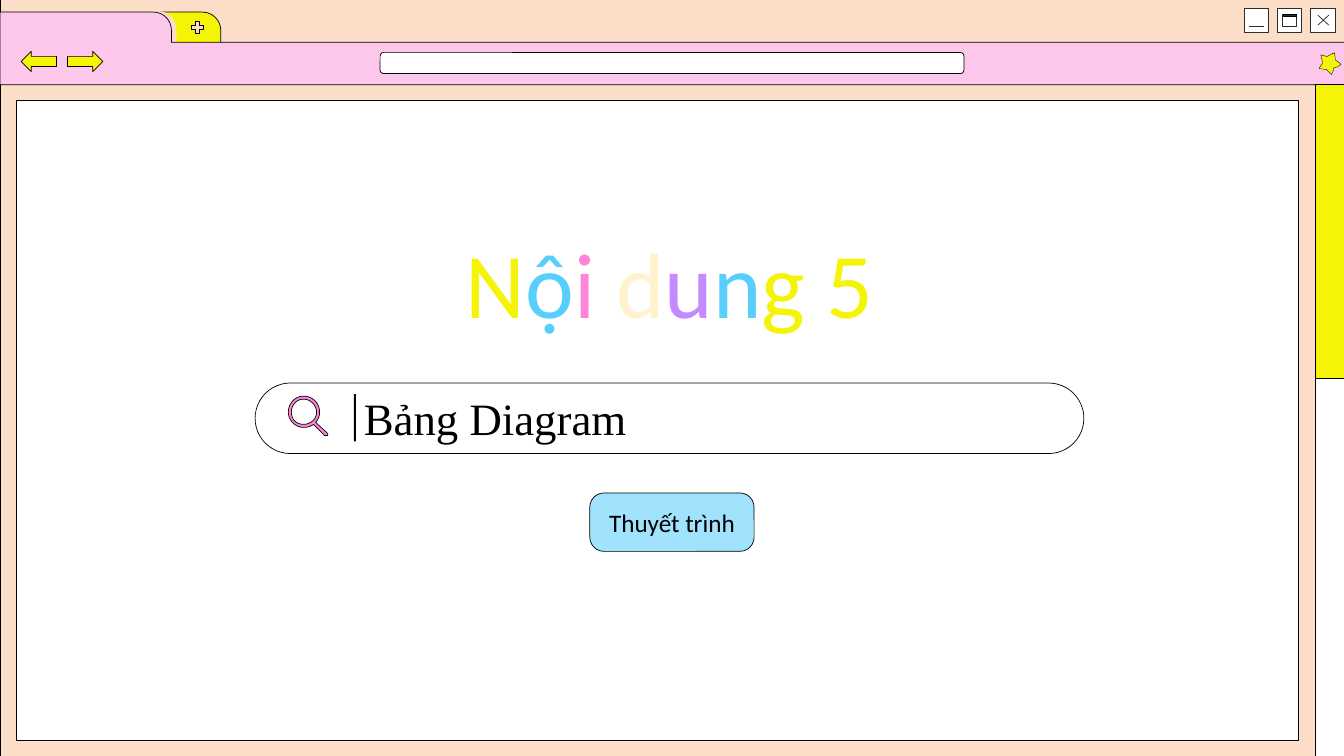
from dataclasses import dataclass

from lxml import etree
from pptx import Presentation
from pptx.dml.color import RGBColor
from pptx.enum.shapes import MSO_CONNECTOR, MSO_SHAPE
from pptx.enum.text import MSO_ANCHOR, MSO_AUTO_SIZE, PP_ALIGN
from pptx.oxml.ns import qn
from pptx.util import Inches, Pt

RECT = MSO_SHAPE.RECTANGLE
ROUND = MSO_SHAPE.ROUNDED_RECTANGLE
TAB = MSO_SHAPE.ROUND_1_RECTANGLE
PLUS = MSO_SHAPE.MATH_PLUS
LEFT_ARROW = MSO_SHAPE.LEFT_ARROW
RIGHT_ARROW = MSO_SHAPE.RIGHT_ARROW
STRAIGHT = MSO_CONNECTOR.STRAIGHT
TOP, MIDDLE = MSO_ANCHOR.TOP, MSO_ANCHOR.MIDDLE
LEFT, CENTER = PP_ALIGN.LEFT, PP_ALIGN.CENTER
GROW, FIXED = MSO_AUTO_SIZE.SHAPE_TO_FIT_TEXT, MSO_AUTO_SIZE.NONE

BLACK, WHITE, INK = "000000", "FFFFFF", "292D2D"
PEACH, PINK, ROSE = "FCDEC8", "FDC7EB", "FD86D8"
YELLOW, SKY, PALE_SKY = "F5F406", "58CEFC", "A1E3FD"
CREAM, VIOLET = "FFF2CC", "C48AFF"
CURVE_STEPS = 12


@dataclass
class Panel:
    kind: int
    left: float
    top: float
    width: float
    height: float
    fill: str | None = None
    line: str | None = BLACK
    adjust: float | None = None


@dataclass
class Outline:
    contours: list[list[tuple]]
    fill: str
    weight: float = 0.5
    rotation: float = 0


@dataclass
class Span:
    text: str
    color: str


WINDOW = [
    Panel(RECT, 0, -0.01, 13.33, 7.51, PEACH),
    Panel(RECT, 13.05, 2.26, 0.28, 5.24, WHITE),
    Panel(RECT, 0.16, 1, 12.72, 6.35, WHITE),
]
BUTTON_SIZE = 0.24
MINIMIZE, MAXIMIZE, CLOSE = [12.34 + 0.33 * step for step in range(3)]
CONTROLS = [Panel(RECT, left, 0.08, BUTTON_SIZE, BUTTON_SIZE, WHITE, INK)
            for left in (MINIMIZE, MAXIMIZE, CLOSE)] + [
    Panel(RECT, MAXIMIZE + 0.05, 0.14, 0.14, 0.12, None, INK),
    Panel(RECT, MAXIMIZE + 0.06, 0.14, 0.13, 0.02, INK),
]
CONTROL_STROKES = [
    (MINIMIZE + 0.05, 0.26, MINIMIZE + 0.2, 0.26),
    (CLOSE + 0.07, 0.15, CLOSE + 0.18, 0.25),
    (CLOSE + 0.18, 0.15, CLOSE + 0.07, 0.25),
]
TABS = [
    Panel(TAB, 0.49, 0.12, 1.7, 0.42, YELLOW, BLACK, 0.43),
    Panel(TAB, 0.05, 0.11, 1.7, 0.42, PEACH, None, 0.43),
]
TOOLBAR = Outline([[
    (0, 0.12), (1.52, 0.12), (1.62, 0.12, 1.7, 0.2, 1.7, 0.3),
    (1.7, 0.42), (13.35, 0.42), (13.35, 0.84), (0, 0.84),
]], PINK)
TOOLS = [
    Panel(PLUS, 1.88, 0.19, 0.16, 0.16, PEACH),
    Panel(LEFT_ARROW, 0.21, 0.51, 0.35, 0.2, YELLOW),
    Panel(RIGHT_ARROW, 0.67, 0.51, 0.35, 0.2, YELLOW),
    Panel(ROUND, 3.77, 0.52, 5.79, 0.21, WHITE),
]
STAR = Outline([[
    (13.28, 0.59), (13.22, 0.57), (13.21, 0.57), (13.18, 0.52),
    (13.18, 0.51, 13.17, 0.51, 13.17, 0.52), (13.14, 0.57),
    (13.14, 0.57, 13.13, 0.58, 13.13, 0.58), (13.08, 0.59),
    (13.07, 0.59, 13.07, 0.6, 13.07, 0.6), (13.11, 0.65), (13.11, 0.71),
    (13.11, 0.72, 13.11, 0.73, 13.12, 0.72), (13.15, 0.71),
    (13.18, 0.69, 13.17, 0.69, 13.2, 0.71), (13.23, 0.72),
    (13.24, 0.72, 13.25, 0.72, 13.25, 0.71), (13.24, 0.65),
    (13.24, 0.65, 13.24, 0.65, 13.25, 0.64), (13.28, 0.6),
    (13.29, 0.6, 13.28, 0.59, 13.28, 0.59),
]], YELLOW, 0.25, 314.4)
SCROLL_THUMB = Panel(RECT, 13.05, 0.84, 0.28, 2.91, YELLOW)
SCROLL_EDGE = (13.05, 1.16, 13.05, 7.5)
SEARCH_FIELD = Panel(ROUND, 2.53, 3.8, 8.22, 0.7, None, BLACK, 0.5)
BUTTON = Panel(ROUND, 5.85, 4.89, 1.63, 0.58, PALE_SKY, BLACK, 0.244)
CURSOR = Panel(RECT, 3.51, 3.91, 0.02, 0.47, BLACK, None)
MAGNIFIER = Outline([[
    (3.25, 4.3), (3.13, 4.19), (3.16, 4.16, 3.17, 4.12, 3.17, 4.09),
    (3.17, 4, 3.1, 3.93, 3.01, 3.93), (2.93, 3.93, 2.86, 4, 2.86, 4.09),
    (2.86, 4.17, 2.93, 4.24, 3.01, 4.24), (3.05, 4.24, 3.08, 4.23, 3.11, 4.21),
    (3.22, 4.32), (3.23, 4.32, 3.23, 4.32, 3.23, 4.32),
    (3.24, 4.32, 3.24, 4.32, 3.25, 4.32), (3.25, 4.31, 3.25, 4.3, 3.25, 4.3),
], [
    (3.01, 4.21), (2.94, 4.21, 2.89, 4.16, 2.89, 4.09),
    (2.89, 4.02, 2.94, 3.96, 3.01, 3.96), (3.08, 3.96, 3.14, 4.02, 3.14, 4.09),
    (3.14, 4.16, 3.08, 4.21, 3.01, 4.21),
]], ROSE)
TITLE = [Span("N", YELLOW), Span("ộ", SKY), Span("i ", ROSE), Span("d", CREAM),
         Span("u", VIOLET), Span("n", SKY), Span("g 5", YELLOW)]


def rgb(color: str) -> RGBColor:
    return RGBColor.from_string(color)


def paint(shape, fill: str | None, line: str | None, weight: float = 0.5) -> None:
    shape.shadow.inherit = False
    if fill:
        shape.fill.solid()
        shape.fill.fore_color.rgb = rgb(fill)
    else:
        shape.fill.background()
    if line:
        shape.line.color.rgb = rgb(line)
        shape.line.width = Pt(weight)
    else:
        shape.line.fill.background()


def add_panel(page, panel: Panel):
    shape = page.shapes.add_shape(panel.kind, Inches(panel.left), Inches(panel.top),
                                  Inches(panel.width), Inches(panel.height))
    if panel.adjust is not None:
        shape.adjustments[0] = panel.adjust
    paint(shape, panel.fill, panel.line)
    return shape


def add_stroke(page, ends: tuple, color: str) -> None:
    stroke = page.shapes.add_connector(STRAIGHT, *map(Inches, ends))
    stroke.line.color.rgb = rgb(color)
    stroke.line.width = Pt(0.5)
    etree.SubElement(stroke.element.spPr, qn("a:effectLst"))


def flatten(contour: list[tuple]) -> list[tuple]:
    points = [contour[0]]
    for segment in contour[1:]:
        if len(segment) == 2:
            points.append(segment)
            continue
        corners = [points[-1], segment[:2], segment[2:4], segment[4:]]
        for step in range(1, CURVE_STEPS + 1):
            t = step / CURVE_STEPS
            weights = ((1 - t) ** 3, 3 * t * (1 - t) ** 2, 3 * t * t * (1 - t), t ** 3)
            points.append(tuple(sum(w * corner[axis] for w, corner in zip(weights, corners))
                                for axis in range(2)))
    return [(Inches(x), Inches(y)) for x, y in points]


def add_outline(page, outline: Outline) -> None:
    first, *others = [flatten(contour) for contour in outline.contours]
    builder = page.shapes.build_freeform(*first[0])
    builder.add_line_segments(first[1:], close=True)
    for points in others:
        builder.move_to(*points[0])
        builder.add_line_segments(points[1:], close=True)
    shape = builder.convert_to_shape()
    shape.rotation = outline.rotation
    paint(shape, outline.fill, BLACK, outline.weight)


def write(box, spans: list[Span], size: float, font: str, align=CENTER,
          anchor=TOP, fit=GROW) -> None:
    frame = box.text_frame
    frame.word_wrap = True
    frame.auto_size = fit
    frame.vertical_anchor = anchor
    para = frame.paragraphs[0]
    para.alignment = align
    for span in spans:
        run = para.add_run()
        run.text = span.text
        run.font.size = Pt(size)
        run.font.name = font
        run.font.color.rgb = rgb(span.color)


def add_title(page) -> None:
    title = page.shapes.title
    title.element.getparent().append(title.element)
    title.left, title.top = Inches(3.74), Inches(2.19)
    title.width, title.height = Inches(5.8), Inches(1.21)
    write(title, TITLE, 66, "Calibri")
    for run in title.text_frame.paragraphs[0].runs:
        edge = etree.Element(qn("a:ln"), w=str(Pt(0.75)))
        fill = etree.SubElement(edge, qn("a:solidFill"))
        etree.SubElement(fill, qn("a:srgbClr"), val=BLACK)
        run.font.fill
        run.element.rPr.insert(0, edge) if hasattr(run, "element") else run._r.rPr.insert(0, edge)


def main() -> None:
    deck = Presentation()
    deck.slide_width, deck.slide_height = Inches(13.33), Inches(7.5)
    page = deck.slides.add_slide(deck.slide_layouts[5])
    for panel in WINDOW + CONTROLS:
        add_panel(page, panel)
    for ends in CONTROL_STROKES:
        add_stroke(page, ends, INK)
    for panel in TABS:
        add_panel(page, panel)
    add_outline(page, TOOLBAR)
    for panel in TOOLS:
        add_panel(page, panel)
    add_outline(page, STAR)
    add_panel(page, SCROLL_THUMB)
    add_stroke(page, SCROLL_EDGE, BLACK)
    add_panel(page, SEARCH_FIELD)
    add_title(page)
    write(add_panel(page, BUTTON), [Span("Thuyết trình", BLACK)], 18, "Calibri",
          anchor=MIDDLE, fit=FIXED)
    query = page.shapes.add_textbox(Inches(3.51), Inches(3.83), Inches(5.8), Inches(0.64))
    write(query, [Span("Bảng Diagram", BLACK)], 32, "Times New Roman", LEFT)
    add_panel(page, CURSOR)
    add_outline(page, MAGNIFIER)
    deck.save("out.pptx")


if __name__ == "__main__":
    main()
